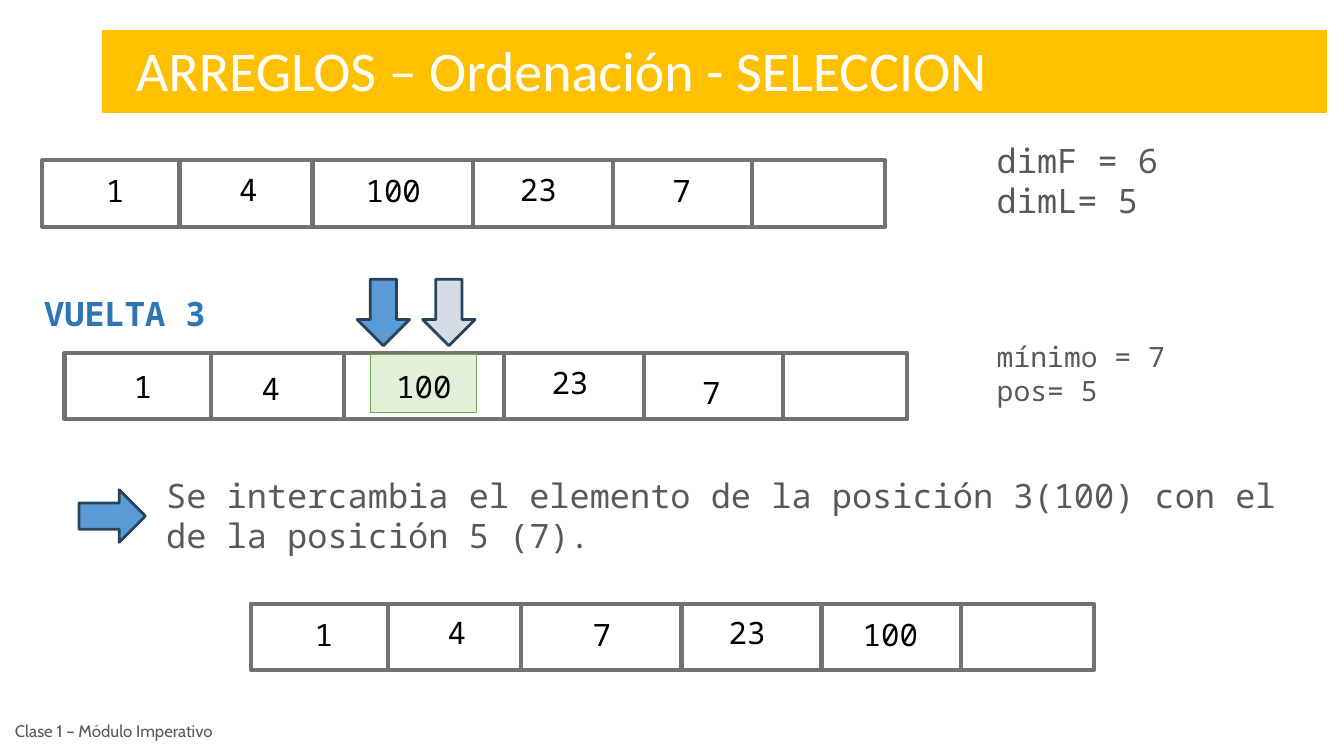
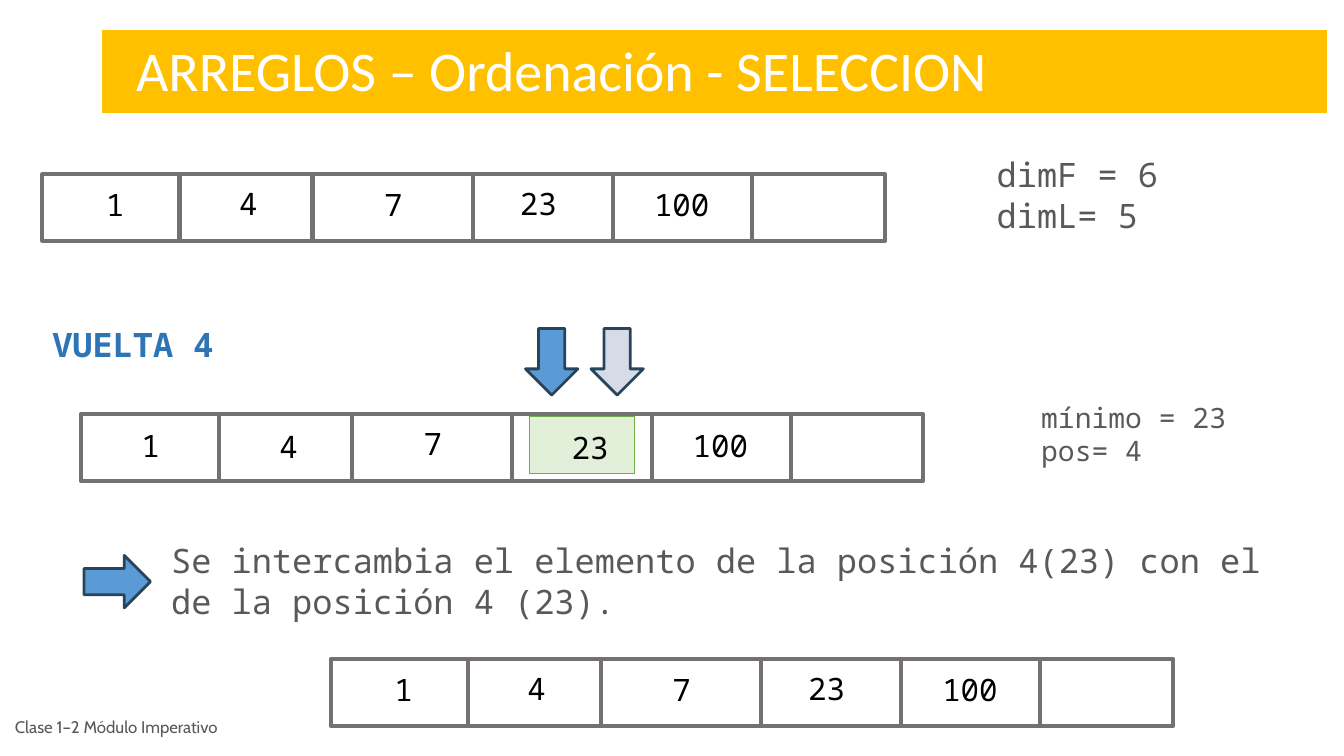
from dataclasses import dataclass
from itertools import pairwise

from lxml import etree
from pptx import Presentation
from pptx import util as u
from pptx.dml.color import RGBColor
from pptx.enum import shapes, text
from pptx.oxml import ns

COLUMNS, ROWS = 40, 22.5
WIDTH, HEIGHT = u.Inches(13.33), u.Inches(7.5)


@dataclass(frozen=True)
class Theme:
    band: str = "FFC000"
    white: str = "FFFFFF"
    ink: str = "000000"
    gray: str = "595959"
    frame: str = "767171"
    heading: str = "2E75B6"
    arrow: str = "5B9BD5"
    pale_arrow: str = "D6DCE5"
    arrow_line: str = "28445D"
    mark: str = "E2F0D9"
    mark_line: str = "70AD47"
    title_font: str = "Calibri"
    code_font: str = "Noto Sans Mono"
    footer_font: str = "Cabin"
    title_size: int = 40
    body_size: int = 24
    cell_size: int = 22
    status_size: int = 20
    footer_size: int = 12


THEME = Theme()
TITLE = "ARREGLOS – Ordenación - SELECCION"

# Array geometry in grid units, measured from the array's top left corner
ARRAY_WIDTH, ARRAY_HEIGHT = 25.08, 1.98
DIVIDERS = (4.08, 8.04, 12.81, 16.98, 21.12)
LABEL_WIDTH, LABEL_HEIGHT, LABEL_TOP = 3.15, 1.41, 0.2
LABEL_OFFSETS = ((0.13, 0), (0.07, -0.04), (0.02, 0), (-0.13, -0.04), (-0.02, 0))
ARROW_WIDTH, ARROW_LENGTH, ARROW_STEP = 1.56, 1.98, 1.95


@dataclass(frozen=True)
class Array:
    """Row of cells: its corner, its values and the fine placing of its parts."""
    left: float
    top: float
    values: tuple
    divider_shift: tuple = (0, 0)
    offsets: tuple = LABEL_OFFSETS

    def cell(self, index):
        """Left and right edge of a cell on the slide grid."""
        inner = [edge + self.divider_shift[0] for edge in DIVIDERS]
        edges = [0, *inner, ARRAY_WIDTH]
        return [self.left + edge for edge in list(pairwise(edges))[index]]


@dataclass(frozen=True)
class Round:
    """Contents of one slide; the corners are (column, row)."""
    number: int
    start: Array
    current: Array
    result: Array
    heading_corner: tuple
    arrow_lift: float
    status: str
    status_corner: tuple
    note: str
    note_corner: tuple
    footer: str
    footer_middle: float


def grid_box(left, top, width, height):
    """Turn columns and rows into slide lengths."""
    return (round(left * WIDTH / COLUMNS), round(top * HEIGHT / ROWS),
            round(width * WIDTH / COLUMNS), round(height * HEIGHT / ROWS))


def write(frame, content, *, size, color, font=THEME.code_font, bold=False,
          align=text.PP_ALIGN.LEFT, anchor=text.MSO_ANCHOR.TOP):
    frame.word_wrap = True
    frame.auto_size = text.MSO_AUTO_SIZE.NONE
    frame.vertical_anchor = anchor
    frame.text = content
    for paragraph in frame.paragraphs:
        paragraph.alignment = align
        paragraph.font.size = u.Pt(size)
        paragraph.font.name = font
        paragraph.font.bold = bold
        paragraph.font.color.rgb = RGBColor.from_string(color)


def add_text(slide, box, content, **style):
    write(slide.shapes.add_textbox(*grid_box(*box)).text_frame, content, **style)


def add_shape(slide, kind, box, *, line, weight, fill=None):
    shape = slide.shapes.add_shape(kind, *grid_box(*box))
    shape.shadow.inherit = False
    if fill:
        shape.fill.solid()
        shape.fill.fore_color.rgb = RGBColor.from_string(fill)
    else:
        shape.fill.background()
    shape.line.color.rgb = RGBColor.from_string(line)
    shape.line.width = u.Pt(weight)
    return shape


def add_divider(slide, column, top):
    x, y, _, height = grid_box(column, top, 0, ARRAY_HEIGHT)
    divider = slide.shapes.add_connector(shapes.MSO_CONNECTOR.STRAIGHT, x, y, x, y + height)
    divider.line.color.rgb = RGBColor.from_string(THEME.frame)
    divider.line.width = u.Pt(3)
    etree.SubElement(divider._element.spPr, ns.qn("a:effectLst"))


def add_array(slide, array, marked=None):
    add_shape(slide, shapes.MSO_SHAPE.RECTANGLE,
              (array.left, array.top, ARRAY_WIDTH, ARRAY_HEIGHT), line=THEME.frame, weight=3)
    if marked is not None:
        label_left = sum(array.cell(marked)) / 2 - LABEL_WIDTH / 2
        add_shape(slide, shapes.MSO_SHAPE.RECTANGLE,
                  (label_left, array.top + 0.06, LABEL_WIDTH, 1.71),
                  fill=THEME.mark, line=THEME.mark_line, weight=0.75)
    for index, (value, (right, down)) in enumerate(zip(array.values, array.offsets)):
        cell = array.cell(index)
        add_divider(slide, cell[1], array.top + array.divider_shift[1])
        box = (sum(cell) / 2 - LABEL_WIDTH / 2 + right, array.top + LABEL_TOP + down,
               LABEL_WIDTH, LABEL_HEIGHT)
        add_text(slide, box, str(value), size=THEME.cell_size, color=THEME.ink,
                 align=text.PP_ALIGN.CENTER)


def add_arrow(slide, kind, box, fill):
    add_shape(slide, kind, box, fill=fill, line=THEME.arrow_line, weight=2)


def add_pointers(slide, array, index, lift):
    """Two arrows standing over a cell."""
    left = array.cell(index)[0] + 0.4
    for step, fill in enumerate((THEME.arrow, THEME.pale_arrow)):
        add_arrow(slide, shapes.MSO_SHAPE.DOWN_ARROW,
                  (left + step * ARROW_STEP, array.top - lift, ARROW_WIDTH, ARROW_LENGTH), fill)


def add_note(slide, left, top, content):
    add_arrow(slide, shapes.MSO_SHAPE.RIGHT_ARROW,
              (left - 2.3, top + 0.6, ARROW_LENGTH, ARROW_WIDTH), THEME.arrow)
    add_text(slide, (left, top, 34.2, 2.73), content, size=THEME.body_size, color=THEME.gray)


def prepare_layout(presentation, slide):
    """Move the title band into the layout and place the layout's title on it."""
    layout = slide.slide_layout
    band = add_shape(slide, shapes.MSO_SHAPE.RECTANGLE, (3.06, 0.9, 36.42, 2.43),
                     fill=THEME.band, line=THEME.band, weight=1)
    layout.shapes._spTree.insert(2, band._element)
    title = layout.placeholders[0]
    title.left, title.top, title.width, title.height = grid_box(3.75, 0.9, 28.05, 2.31)


def fill_slide(slide, step):
    write(slide.shapes.title.text_frame, TITLE, size=THEME.title_size,
          color=THEME.white, font=THEME.title_font)
    marked = step.number - 1
    add_array(slide, step.start)
    add_text(slide, (29.37, step.start.top - 0.75, 6.9, 2.73), "dimF = 6\ndimL= 5",
             size=THEME.body_size, color=THEME.gray)
    add_text(slide, (*step.heading_corner, 6.9, 1.5), f"VUELTA {step.number}",
             size=THEME.body_size, color=THEME.heading, bold=True)
    add_array(slide, step.current, marked)
    add_pointers(slide, step.current, marked, step.arrow_lift)
    add_text(slide, (*step.status_corner, 6.9, 2.31), step.status,
             size=THEME.status_size, color=THEME.gray)
    add_note(slide, *step.note_corner, step.note)
    add_array(slide, step.result)
    add_text(slide, (0.15, step.footer_middle - 0.6, 9, 1.2), step.footer,
             size=THEME.footer_size, color=THEME.gray, font=THEME.footer_font,
             anchor=text.MSO_ANCHOR.MIDDLE)


UNSORTED = (1, 4, 100, 23, 7)
SORTED = (1, 4, 7, 23, 100)
STEPS = (
    Round(
        number=3,
        start=Array(1.26, 4.77, UNSORTED),
        current=Array(1.92, 10.5, UNSORTED, (0.27, 0.03),
                      ((0.16, 0.1), (-0.19, 0.16), (0, 0.1), (-0.12, -0.02), (-0.07, 0.28))),
        result=Array(7.47, 17.97, SORTED),
        heading_corner=(1.02, 8.58), arrow_lift=2.19,
        status="mínimo = 7\npos= 5", status_corner=(29.37, 9.96),
        note="Se intercambia el elemento de la posición 3(100) con el de la posición 5 (7).",
        note_corner=(4.65, 13.98),
        footer="Clase 1 – Módulo Imperativo", footer_middle=21.75,
    ),
    Round(
        number=4,
        start=Array(1.26, 5.19, SORTED),
        current=Array(2.4, 12.33, SORTED, (0.03, -0.06),
                      ((0.03, 0.01), (0.1, 0.04), (0.03, -0.05), (0.24, 0.07), (-0.04, 0.01))),
        result=Array(9.84, 19.62, SORTED),
        heading_corner=(1.26, 9.48), arrow_lift=2.55,
        status="mínimo = 23\npos= 4", status_corner=(30.69, 11.76),
        note="Se intercambia el elemento de la posición 4(23) con el de la posición 4 (23).",
        note_corner=(4.8, 15.93),
        footer="Clase 1–2 Módulo Imperativo", footer_middle=21.62,
    ),
)


def main():
    presentation = Presentation()
    presentation.slide_width, presentation.slide_height = WIDTH, HEIGHT
    layout = presentation.slide_layouts.get_by_name("Title Only")
    slides = [presentation.slides.add_slide(layout) for _ in STEPS]
    prepare_layout(presentation, slides[0])
    for slide, step in zip(slides, STEPS):
        fill_slide(slide, step)
    presentation.save("out.pptx")


if __name__ == "__main__":
    main()
